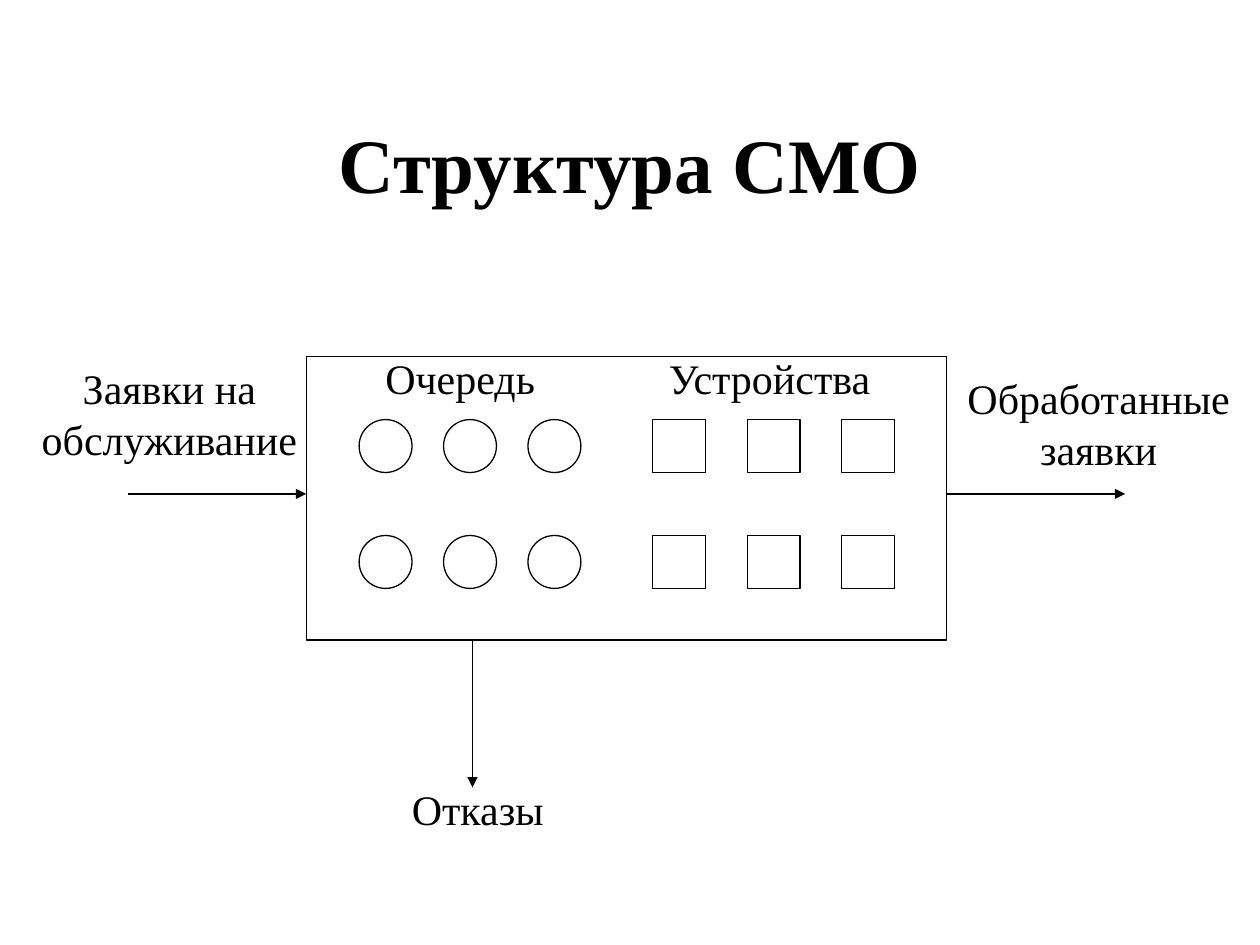
from pptx import Presentation
from pptx.dml.color import RGBColor
from pptx.enum.shapes import MSO_CONNECTOR as CONN, MSO_SHAPE as SHAPE
from pptx.enum.text import MSO_ANCHOR as ANCHOR, PP_ALIGN as ALIGN
from pptx.oxml.ns import qn
from pptx.util import Inches, Pt
from lxml.etree import SubElement


def rgb(hex_string):
    return RGBColor.from_string(hex_string)


class Diagram:
    font_name = "Times New Roman"
    ink = "000000"
    line_width = Pt(0.75)

    def __init__(self, prs):
        self.s = prs.slides.add_slide(prs.slide_layouts[5])

    def set_text(self, tf, text, size, align, bold=False):
        tf.word_wrap = True
        p = tf.paragraphs[0]
        p.alignment = align
        r = p.add_run()
        r.text = text
        style = {"name": self.font_name, "size": Pt(size), "bold": bold}
        for key, value in style.items():
            setattr(r.font, key, value)
        r.font.color.rgb = rgb(self.ink)

    def set_line(self, line):
        line.color.rgb = rgb(self.ink)
        line.width = self.line_width

    def title(self, text, left, top, width, height):
        sp = self.s.shapes.title
        box = {"left": left, "top": top, "width": width, "height": height}
        for key, value in box.items():
            setattr(sp, key, Inches(value))
        sp.text_frame.vertical_anchor = ANCHOR.MIDDLE
        self.set_text(sp.text_frame, text, 44, ALIGN.CENTER, bold=True)

    def label(self, text, left, top, width, height, align=ALIGN.LEFT):
        box = map(Inches, (left, top, width, height))
        sp = self.s.shapes.add_textbox(*box)
        self.set_text(sp.text_frame, text, 24, align)

    def outline(self, kind, left, top, width, height):
        box = map(Inches, (left, top, width, height))
        sp = self.s.shapes.add_shape(kind, *box)
        sp.shadow.inherit = False
        sp.fill.background()
        self.set_line(sp.line)

    def grid(self, kind, left, step):
        """Two rows of three equal marks."""
        for top in (3.33, 4.25):
            for col in range(3):
                self.outline(kind, left + col * step, top, 0.42, 0.42)

    def arrow(self, x1, y1, x2, y2):
        ends = map(Inches, (x1, y1, x2, y2))
        cxn = self.s.shapes.add_connector(CONN.STRAIGHT, *ends)
        self.set_line(cxn.line)
        props = cxn.element.spPr
        SubElement(props.find(qn("a:ln")), qn("a:tailEnd"), type="triangle")
        SubElement(props, qn("a:effectLst"))


def main():
    prs = Presentation()
    prs.slide_width, prs.slide_height = Inches(10), Inches(7.5)
    d = Diagram(prs)
    d.title("Структура СМО", 0.75, 0.67, 8.5, 1.25)

    d.outline(SHAPE.RECTANGLE, 2.43, 2.83, 5.08, 2.25)
    d.grid(SHAPE.RECTANGLE, 5.18, 0.75)
    d.grid(SHAPE.OVAL, 2.85, 0.67)

    d.arrow(1.02, 3.92, 2.43, 3.92)
    d.arrow(7.52, 3.92, 8.93, 3.92)
    d.arrow(3.75, 5.08, 3.75, 6.25)

    d.label("Заявки на обслуживание", 0.18, 2.83, 2.33, 1, ALIGN.CENTER)
    d.label("Очередь", 2.96, 2.75, 1.56, 0.5)
    d.label("Устройства", 5.21, 2.75, 1.89, 0.5)
    d.label("Отказы", 3.17, 6.17, 1.33, 0.5)
    d.label("Обработанные заявки", 7.52, 2.91, 2.4, 1, ALIGN.CENTER)
    prs.save("out.pptx")


if __name__ == "__main__":
    main()
